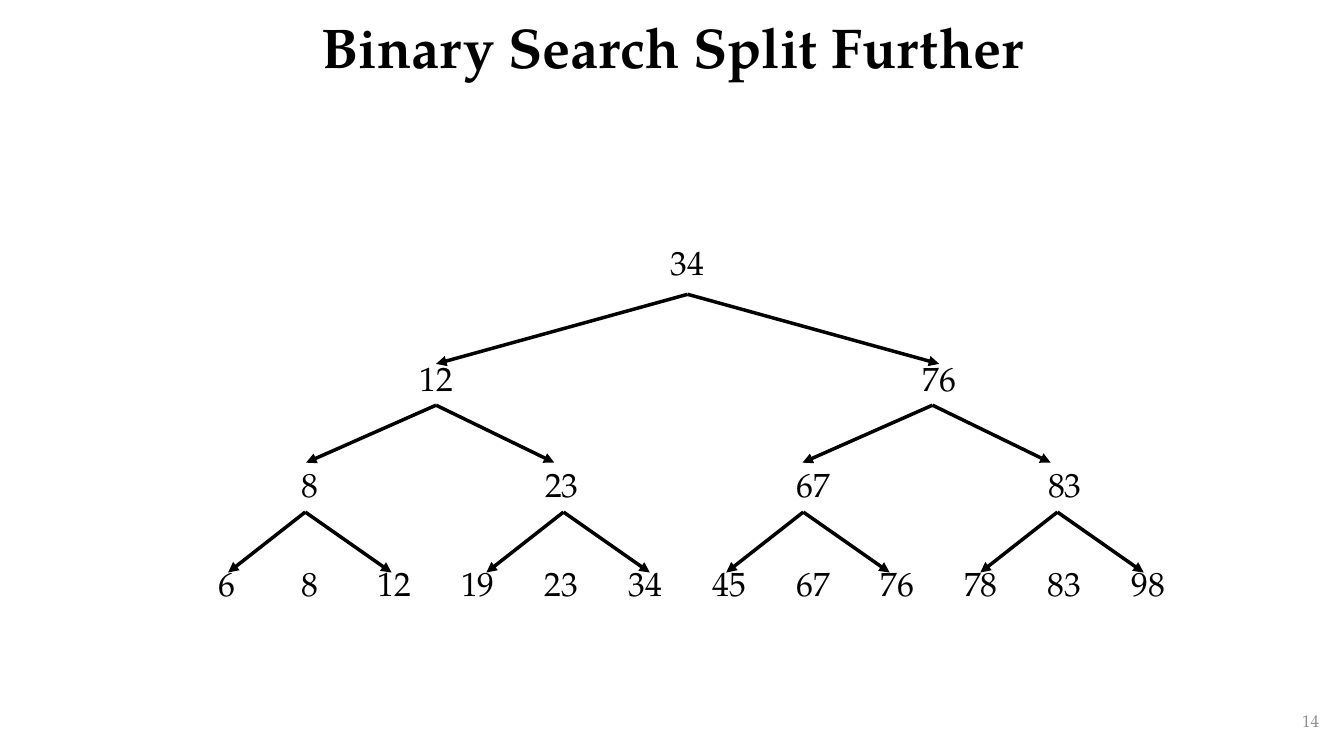
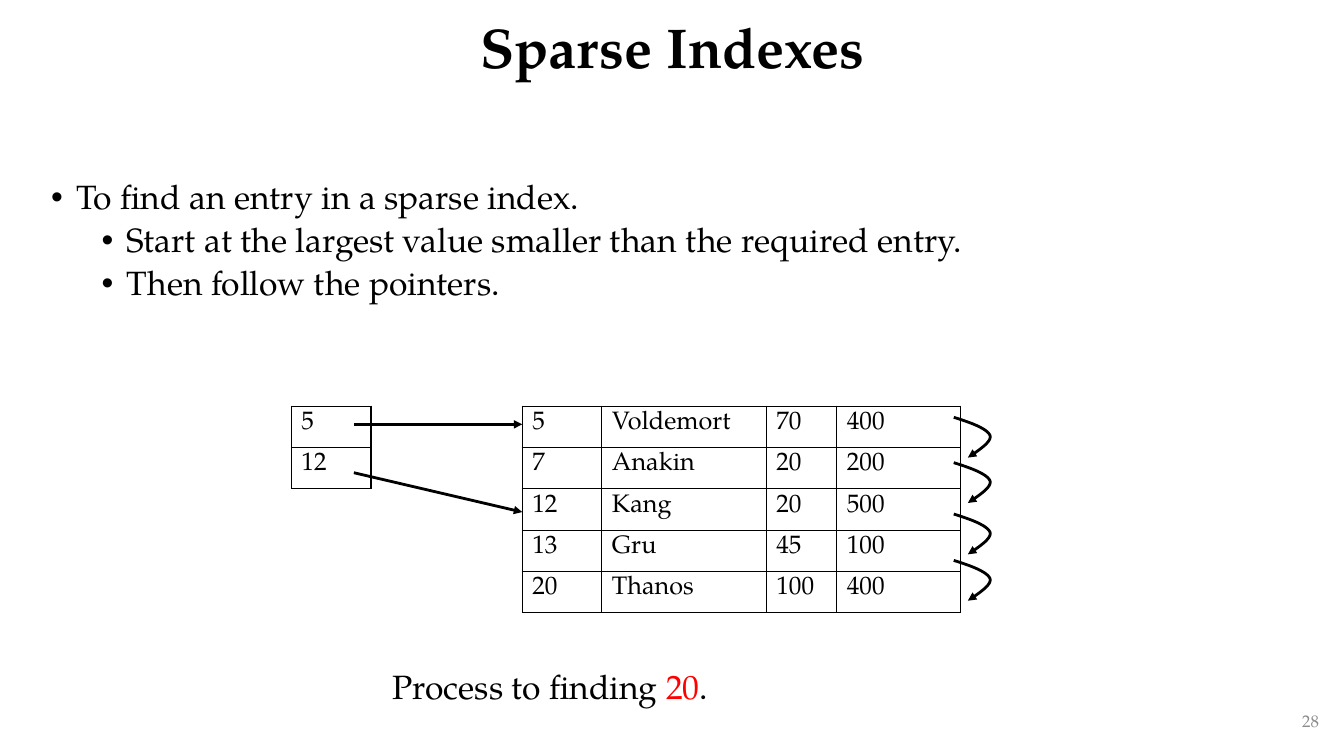
from dataclasses import dataclass
from typing import Sequence

from lxml.etree import SubElement
from pptx import Presentation
from pptx.dml.color import RGBColor
from pptx.enum.text import MSO_ANCHOR as Anchor, MSO_AUTO_SIZE as Fit, PP_ALIGN as Align
from pptx.enum.shapes import MSO_CONNECTOR as Link
from pptx.oxml.ns import qn
from pptx.util import Inches, Pt

WIDE, HIGH = 13.33, 7.5
FACE = "TeX Gyre Pagella"
BLACK, GREY, RED = "000000", "8C8C8C", "FF0000"

# Tree grid: twelve equal columns
LEFT, COLS = 1.83, 12
COL = 9.98 / COLS
ROW = 0.5

# Record grid
TOP, STEP = 4.03, 0.41
KEY = 0.79


@dataclass
class Level:
    top: float
    keys: Sequence[int]


@dataclass
class Fork:
    """Two arrows from each start; starts and reaches are in columns."""
    starts: Sequence[float]
    top: float
    left: float
    right: float
    drop: float


@dataclass
class Point:
    text: str
    level: int


LEVELS = (
    Level(2.44, (34,)),
    Level(3.59, (12, 76)),
    Level(4.64, (8, 23, 67, 83)),
    Level(5.63, (6, 8, 12, 19, 23, 34, 45, 67, 76, 78, 83, 98)),
)
FORKS = (
    Fork((6,), 2.92, 3, 3, 0.69),
    Fork((3, 8.92), 4.02, 1.55, 1.41, 0.57),
    Fork((1.44, 4.52, 7.38, 10.41), 5.08, 0.92, 1.03, 0.6),
)
POINTS = (
    Point("To find an entry in a sparse index.", 0),
    Point("Start at the largest value smaller than the required entry.", 1),
    Point("Then follow the pointers.", 1),
)
RECORDS = (
    ("5", "Voldemort", "70", "400"),
    ("7", "Anakin", "20", "200"),
    ("12", "Kang", "20", "500"),
    ("13", "Gru", "45", "100"),
    ("20", "Thanos", "100", "400"),
)
# Hook from one record to the next: two cubic curves
HOOK = (
    ((0, 0), (0.16, 0.05), (0.33, 0.11), (0.36, 0.18)),
    ((0.36, 0.18), (0.38, 0.24), (0.26, 0.32), (0.14, 0.4)),
)
HOOKS = (4.14, 4.59, 5.1, 5.56)


def hue(code: str) -> RGBColor:
    return RGBColor.from_string(code)


def style(para, size: float, color: str = BLACK, bold: bool = False,
          align=Align.LEFT) -> None:
    para.alignment = align
    for run in para.runs:
        font = run.font
        font.name, font.size, font.bold = FACE, Pt(size), bold
        font.color.rgb = hue(color)


def add_box(slide, x: float, y: float, w: float, h: float, wrap: bool = True):
    frame = slide.shapes.add_textbox(*map(Inches, (x, y, w, h))).text_frame
    frame.word_wrap = wrap
    return frame


def add_page(deck, title: str, number: int):
    slide = deck.slides.add_slide(deck.slide_layouts[5])
    head = slide.shapes.title
    head.left, head.top, head.width, head.height = map(Inches, (0.92, 0, 11.5, 0.99))
    frame = head.text_frame
    frame.text = title
    frame.auto_size, frame.vertical_anchor = Fit.NONE, Anchor.MIDDLE
    para = frame.paragraphs[0]
    para.line_spacing = 0.9
    style(para, 40, bold=True, align=Align.CENTER)

    foot = add_box(slide, 10.18, 6.95, 3, 0.4)
    foot.vertical_anchor = Anchor.MIDDLE
    foot.text = str(number)
    style(foot.paragraphs[0], 12, GREY, align=Align.RIGHT)
    return slide


def add_edges(cell) -> None:
    """Black one-point borders; call before setting the cell's fill."""
    props = cell._tc.get_or_add_tcPr()
    for side in ("lnL", "lnR", "lnT", "lnB"):
        edge = SubElement(props, qn(f"a:{side}"), w=str(Pt(1)))
        fill = SubElement(edge, qn("a:solidFill"))
        SubElement(fill, qn("a:srgbClr"), val=BLACK)


def add_grid(slide, x: float, y: float, widths: Sequence[float], high: float,
             rows: Sequence[Sequence[str]], size: float, align=Align.LEFT,
             edged: bool = False) -> None:
    spot = map(Inches, (x, y, sum(widths), high * len(rows)))
    table = slide.shapes.add_table(len(rows), len(widths), *spot).table
    table.first_row = table.horz_banding = False
    for col, width in zip(table.columns, widths):
        col.width = Inches(width)
    for r, row in enumerate(rows):
        table.rows[r].height = Inches(high)
        for c, text in enumerate(row):
            cell = table.cell(r, c)
            if edged:
                add_edges(cell)
            cell.fill.background()
            cell.text_frame.text = text
            style(cell.text_frame.paragraphs[0], size, align=align)


def ink(shape, weight: float) -> None:
    """Black line with a triangle at its end."""
    shape.line.color.rgb = hue(BLACK)
    shape.line.width = Pt(weight)
    SubElement(shape.line._get_or_add_ln(), qn("a:tailEnd"), type="triangle")


def add_arrow(slide, x: float, y: float, to_x: float, to_y: float,
              weight: float) -> None:
    ends = map(Inches, (x, y, to_x, to_y))
    line = slide.shapes.add_connector(Link.STRAIGHT, *ends)
    ink(line, weight)
    SubElement(line._element.spPr, qn("a:effectLst"))


def bend(curve, t: float) -> tuple[float, float]:
    """Point at share t of a cubic curve."""
    s = 1 - t
    parts = (s ** 3, 3 * s * s * t, 3 * s * t * t, t ** 3)
    x, y = (sum(p * k for p, k in zip(parts, axis)) for axis in zip(*curve))
    return x, y


def add_hook(slide, x: float, y: float, steps: int = 12) -> None:
    dots = [bend(curve, i / steps) for curve in HOOK for i in range(1, steps + 1)]
    pen = slide.shapes.build_freeform(Inches(x), Inches(y))
    pen.add_line_segments([(Inches(x + dx), Inches(y + dy)) for dx, dy in dots],
                          close=False)
    shape = pen.convert_to_shape()
    shape.shadow.inherit = False
    shape.fill.background()
    ink(shape, 2)


def add_points(slide) -> None:
    frame = add_box(slide, 0.41, 1.74, WIDE - 0.41, 1.5)
    for i, point in enumerate(POINTS):
        para = frame.paragraphs[0] if i == 0 else frame.add_paragraph()
        para.text, para.level = point.text, point.level
        props = para._p.get_or_add_pPr()
        props.set("marL", str(Inches(0.25 + 0.5 * point.level)))
        props.set("indent", str(-Inches(0.25)))
        para.line_spacing = 0.9
        para.space_before = Pt(5 if i else 0)
        SubElement(props, qn("a:buFont"), typeface="Arial")
        SubElement(props, qn("a:buChar"), char="•")
        style(para, 24, align=Align.JUSTIFY)


def draw_tree(deck) -> None:
    slide = add_page(deck, "Binary Search Split Further", 14)
    for level in LEVELS:
        count = len(level.keys)
        add_grid(slide, LEFT, level.top, [COL * COLS / count] * count, ROW,
                 [[str(key) for key in level.keys]], 24, Align.CENTER)
    for fork in FORKS:
        for start in fork.starts:
            x = LEFT + start * COL
            for reach in (-fork.left, fork.right):
                add_arrow(slide, x, fork.top, x + reach * COL,
                          fork.top + fork.drop, 2.5)


def draw_index(deck) -> None:
    slide = add_page(deck, "Sparse Indexes", 28)
    add_points(slide)
    add_grid(slide, 5.18, TOP, (KEY, 1.63, 0.7, 1.23), STEP, RECORDS, 18, edged=True)
    add_grid(slide, 2.89, TOP, (KEY,), STEP, (("5",), ("12",)), 18, edged=True)
    for y in HOOKS:
        add_hook(slide, 9.46, y)
    for y, to_y in ((4.21, 4.21), (4.69, 5.08)):
        add_arrow(slide, 3.51, y, 5.18, to_y, 2)

    frame = add_box(slide, 3.79, 6.56, 3.38, 0.5, wrap=False)
    para = frame.paragraphs[0]
    for text in ("Process to finding ", "20", "."):
        para.add_run().text = text
    style(para, 24)
    para.runs[1].font.color.rgb = hue(RED)


def main() -> None:
    deck = Presentation()
    deck.slide_width, deck.slide_height = Inches(WIDE), Inches(HIGH)
    draw_tree(deck)
    draw_index(deck)
    deck.save("out.pptx")


if __name__ == "__main__":
    main()
